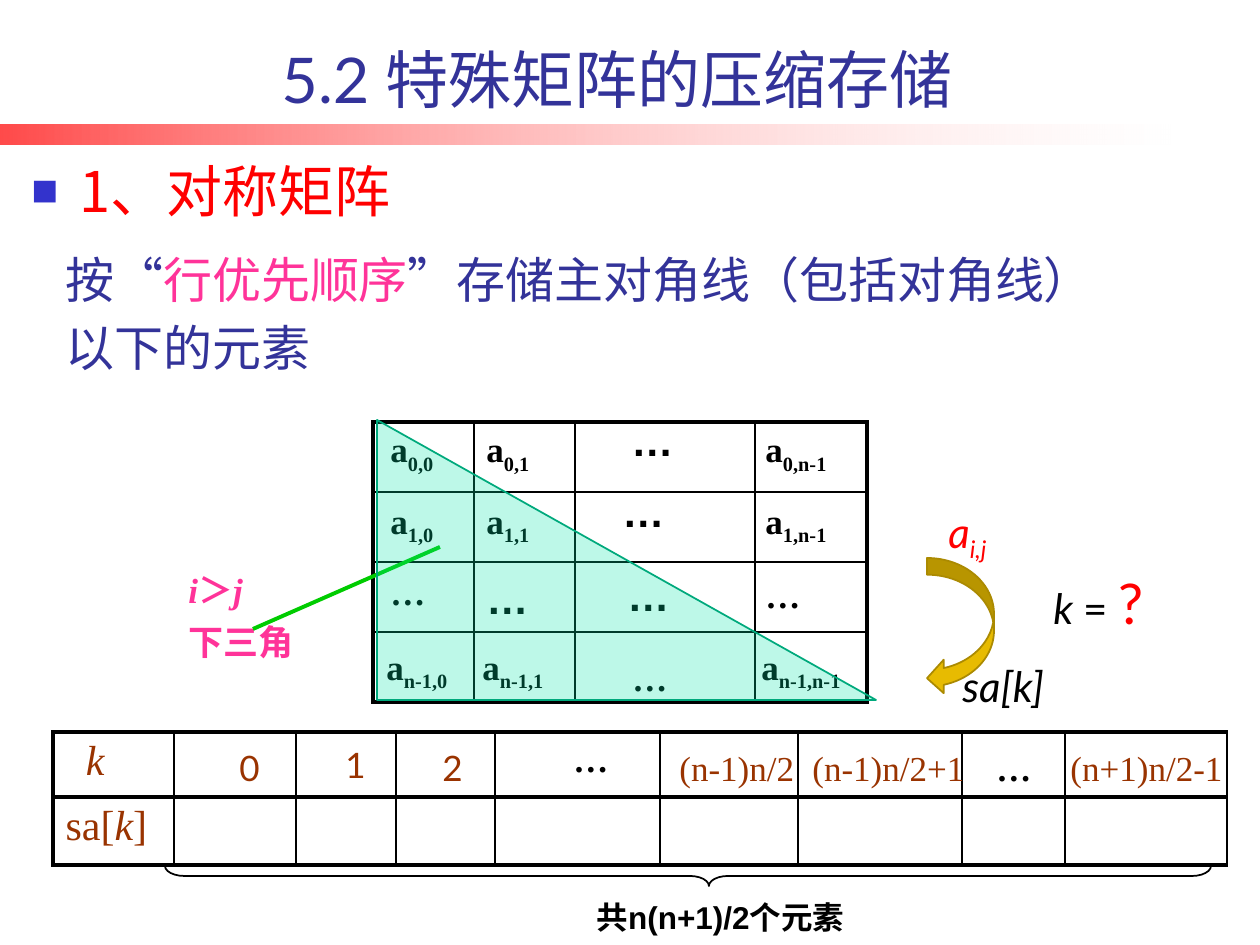
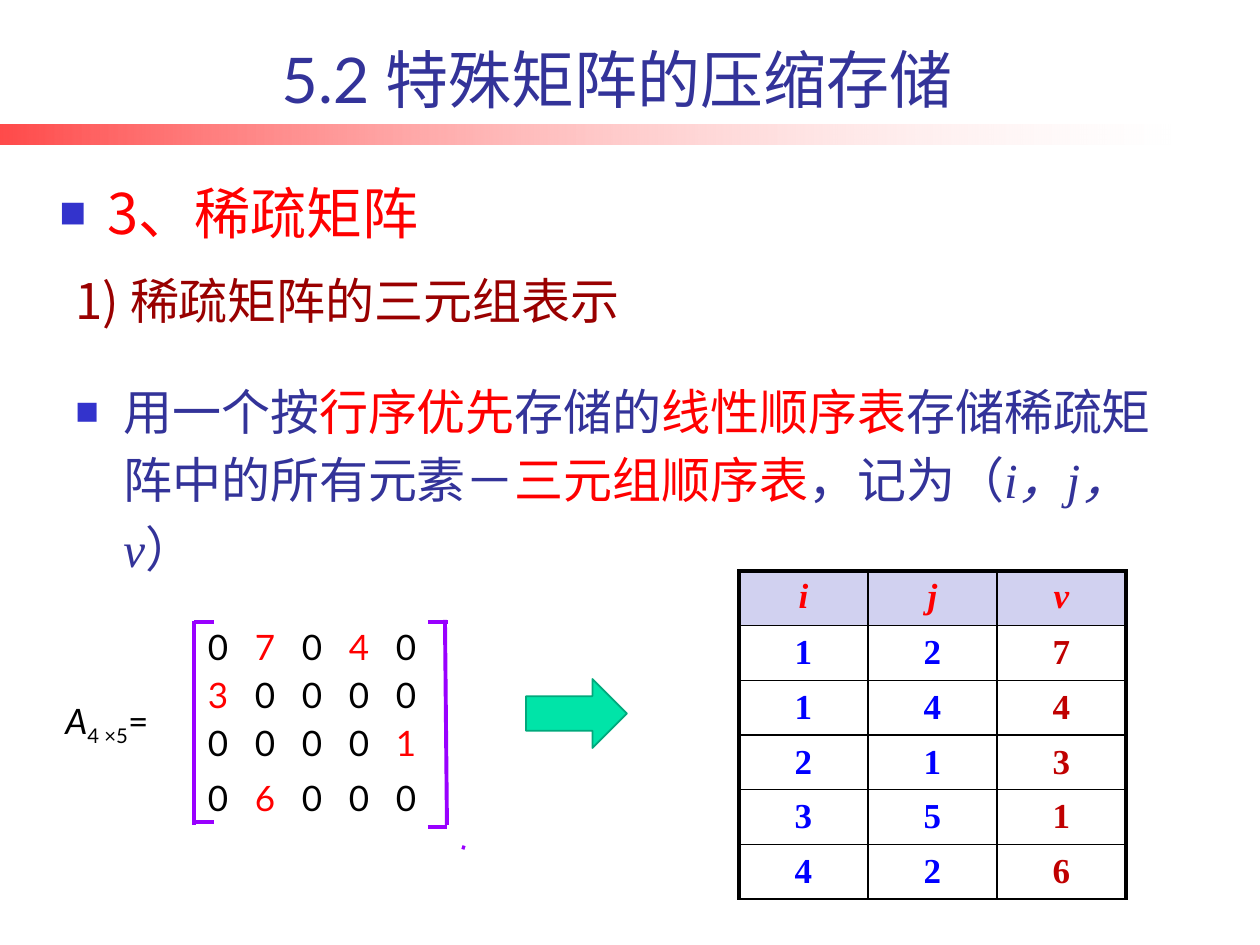
"""Build two slides on compressed storage of special matrices."""
from dataclasses import dataclass
from typing import NamedTuple, Optional

from lxml.etree import SubElement
from pptx import Presentation
from pptx.dml.color import RGBColor
from pptx.enum.shapes import MSO_CONNECTOR, MSO_SHAPE
from pptx.enum.text import MSO_ANCHOR, MSO_AUTO_SIZE, PP_ALIGN
from pptx.oxml.ns import qn
from pptx.util import Emu, Pt

COLORS = {
    "navy": "333399", "bullet": "3333CC", "red": "FF0000", "pink": "FF3399",
    "black": "000000", "white": "FFFFFF", "brown": "993300", "maroon": "990000",
    "green": "00CC00", "mint": "00E4A8", "teal": "00A97C", "gold": "E7BB01",
    "olive": "AB8A01", "purple": "9900FF", "blue": "0000FF", "crimson": "C00000",
    "lavender": "D1D1F0",
}
CJK, SERIF, SANS, LATO = "Noto Sans CJK SC", "Times New Roman", "Arial", "Lato"
PX = 914400 / 126
THIN, THICK = 1, 2.25


class Box(NamedTuple):
    left: int
    top: int
    width: int
    height: int


class Run(NamedTuple):
    text: str
    color: Optional[str] = None
    italic: Optional[bool] = None
    subscript: bool = False
    font: Optional[str] = None
    size: Optional[int] = None


@dataclass(frozen=True)
class Style:
    size: int
    color: str = "black"
    font: str = SERIF
    bold: bool = False
    italic: bool = False
    align: PP_ALIGN = PP_ALIGN.LEFT
    bullet: bool = False
    line_points: Optional[int] = None
    tab_step: int = 0


@dataclass(frozen=True)
class Frame:
    left: float = THICK
    top: float = THICK
    right: float = THICK
    bottom: float = THICK
    between_rows: float = THIN


class Label(NamedTuple):
    text: str
    left: int
    top: int
    style: Style


class Segment(NamedTuple):
    x1: int
    y1: int
    x2: int
    y2: int


TITLE = Style(36, "navy", LATO, align=PP_ALIGN.CENTER)
HEADING = Style(32, "red", CJK, bullet=True)
BODY = Style(28, "navy", CJK, line_points=39)
BODY_BULLET = Style(28, "navy", CJK, bullet=True, line_points=39)
ENTRY = Style(20, bold=True)
BIG_DOTS = Style(24, font=SANS, bold=True)
INDEX = Style(20, "brown", LATO)
FORMULA = Style(20, "brown")
VARIABLE = Style(24, font=LATO, italic=True)


def px(length: int) -> Emu:
    return Emu(round(length * PX))


def rgb(name: str) -> RGBColor:
    return RGBColor.from_string(COLORS[name])


def place(box: Box) -> list[Emu]:
    return [px(length) for length in box]


def add_bullet(paragraph) -> None:
    properties = paragraph._p.get_or_add_pPr()
    properties.set("marL", str(px(48)))
    properties.set("indent", str(-px(48)))
    color = SubElement(properties, qn("a:buClr"))
    SubElement(color, qn("a:srgbClr"), val=COLORS["bullet"])
    SubElement(properties, qn("a:buSzPct"), val="80000")
    SubElement(properties, qn("a:buFont"), typeface=SANS)
    SubElement(properties, qn("a:buChar"), char="■")


def write(paragraph, runs: list[Run], style: Style) -> None:
    if style.bullet:
        add_bullet(paragraph)
    if style.tab_step:
        tabs = SubElement(paragraph._p.get_or_add_pPr(), qn("a:tabLst"))
        for stop in range(1, len(runs)):
            SubElement(tabs, qn("a:tab"), pos=str(px(stop * style.tab_step)), algn="l")
    paragraph.alignment = style.align
    if style.line_points:
        paragraph.line_spacing = Pt(style.line_points)
    font = paragraph.font
    font.name, font.size = style.font, Pt(style.size)
    font.bold, font.italic = style.bold, style.italic
    font.color.rgb = rgb(style.color)
    SubElement(paragraph._p.pPr.find(qn("a:defRPr")), qn("a:ea"), typeface=CJK)
    for item in runs:
        run = paragraph.add_run()
        run.text = item.text
        if item.color:
            run.font.color.rgb = rgb(item.color)
        if item.italic is not None:
            run.font.italic = item.italic
        if item.font:
            run.font.name = item.font
        if item.size:
            run.font.size = Pt(item.size)
        if item.subscript:
            run._r.get_or_add_rPr().set("baseline", "-25000")


def add_text(slide, box: Box, runs: list[Run], style: Style, inset: bool = True):
    frame = slide.shapes.add_textbox(*place(box)).text_frame
    frame.word_wrap = True
    if not inset:
        frame.margin_left = frame.margin_top = frame.margin_right = frame.margin_bottom = 0
    write(frame.paragraphs[0], runs, style)
    return frame


def add_labels(slide, labels: list[Label], width: int) -> None:
    for label in labels:
        add_text(slide, Box(label.left, label.top, width, 55), [Run(label.text)], label.style)


def add_figure(slide, kind: MSO_SHAPE, box: Box, fill: Optional[str], line: Optional[str]):
    shape = slide.shapes.add_shape(kind, *place(box))
    shape.shadow.inherit = False
    if fill:
        shape.fill.solid()
        shape.fill.fore_color.rgb = rgb(fill)
    else:
        shape.fill.background()
    if line:
        shape.line.color.rgb = rgb(line)
        shape.line.width = Pt(THIN)
    else:
        shape.line.fill.background()
    return shape


def set_alpha(shape, *percents: int) -> None:
    for color, percent in zip(shape._element.spPr.iter(qn("a:srgbClr")), percents):
        SubElement(color, qn("a:alpha"), val=str(percent * 1000))


def add_line(slide, segment: Segment, color: str) -> None:
    connector = slide.shapes.add_connector(
        MSO_CONNECTOR.STRAIGHT, *[px(length) for length in segment])
    connector.line.color.rgb = rgb(color)
    connector.line.width = Pt(THICK)
    SubElement(connector._element.spPr, qn("a:effectLst"))


def set_borders(cell, widths: dict[str, float]) -> None:
    properties = cell._tc.get_or_add_tcPr()
    for position, (side, width) in enumerate(widths.items()):
        line = SubElement(properties, qn(f"a:ln{side}"), w=str(Pt(width)))
        fill = SubElement(line, qn("a:solidFill"))
        SubElement(fill, qn("a:srgbClr"), val=COLORS["black"])
        properties.insert(position, line)


def add_grid(slide, left: int, top: int, columns: list[int], rows: list[int], frame: Frame):
    box = Box(left, top, sum(columns), sum(rows))
    table = slide.shapes.add_table(len(rows), len(columns), *place(box)).table
    table.first_row = table.horz_banding = False
    for column, width in zip(table.columns, columns):
        column.width = px(width)
    last_row, last_column = len(rows) - 1, len(columns) - 1
    for r, height in enumerate(rows):
        table.rows[r].height = px(height)
        for c in range(len(columns)):
            cell = table.cell(r, c)
            cell.fill.background()
            set_borders(cell, {
                "L": frame.left if c == 0 else THIN,
                "R": frame.right if c == last_column else THIN,
                "T": frame.top if r == 0 else frame.between_rows,
                "B": frame.bottom if r == last_row else frame.between_rows,
            })
    return table


def add_slide(presentation):
    slide = presentation.slides.add_slide(presentation.slide_layouts[5])
    band = add_figure(slide, MSO_SHAPE.RECTANGLE, Box(0, 125, 1171, 20), None, None)
    band.fill.gradient()
    band.fill.gradient_angle = 0
    for stop, position, color in zip(band.fill.gradient_stops, (0, 1), ("red", "white")):
        stop.position = position
        stop.color.rgb = rgb(color)
    set_alpha(band, 71, 18)
    title = slide.shapes.title
    title.left, title.top, title.width, title.height = place(Box(80, 32, 1074, 90))
    frame = title.text_frame
    frame.auto_size = MSO_AUTO_SIZE.NONE
    frame.vertical_anchor = MSO_ANCHOR.BOTTOM
    write(frame.paragraphs[0], [Run("5.2 特殊矩阵的压缩存储")], TITLE)
    return slide


def build_symmetric(presentation) -> None:
    slide = add_slide(presentation)
    add_text(slide, Box(19, 150, 1074, 90), [Run("1、对称矩阵")], HEADING)
    add_text(slide, Box(53, 234, 1066, 150), [
        Run("按“"), Run("行优先顺序", "pink"), Run("”存储主对角线（包括对角线）以下的元素")], BODY)

    add_grid(slide, 373, 422, [101, 101, 180, 112], [70] * 4, Frame())
    for row, top, shift in (("0", 421, 0), ("1", 493, 0), ("n-1", 639, -4)):
        for column, left in (("0", 378), ("1", 474), ("n-1", 753)):
            add_text(slide, Box(left + shift, top, 130, 55),
                     [Run("a"), Run(f"{row},{column}", subscript=True)], ENTRY)
    add_labels(slide, [
        Label("…", 619, 408, BIG_DOTS), Label("…", 610, 479, BIG_DOTS),
        Label("…", 474, 566, BIG_DOTS), Label("…", 615, 563, BIG_DOTS),
        Label("…", 378, 564, ENTRY), Label("…", 753, 567, ENTRY), Label("…", 620, 650, ENTRY),
    ], 65)

    storage = add_grid(slide, 53, 732, [121, 122, 100, 99, 165, 138, 164, 103, 162],
                       [65, 68], Frame(right=THIN, between_rows=THICK))
    storage_style = Style(24, "brown")
    storage.cell(0, 0).margin_left = px(33)
    write(storage.cell(0, 0).text_frame.paragraphs[0], [Run("k", italic=True)], storage_style)
    write(storage.cell(1, 0).text_frame.paragraphs[0],
          [Run("sa["), Run("k", italic=True), Run("]")], storage_style)
    add_labels(slide, [
        Label("0", 227, 740, INDEX), Label("1", 333, 737, INDEX), Label("2", 430, 740, INDEX),
        Label("…", 561, 731, ENTRY), Label("(n-1)n/2", 667, 740, FORMULA),
        Label("(n-1)n/2+1", 800, 740, FORMULA), Label("…", 984, 740, ENTRY),
        Label("(n+1)n/2-1", 1058, 740, FORMULA),
    ], 190)
    brace = add_figure(slide, MSO_SHAPE.RIGHT_BRACE, Box(678, 353, 20, 1046), None, "black")
    brace.rotation = 90
    brace.adjustments[0], brace.adjustments[1] = 0.96, 0.48
    add_text(slide, Box(357, 892, 727, 50), [Run("共n(n+1)/2个元素")],
             Style(18, font=SANS, bold=True, align=PP_ALIGN.CENTER))

    triangle_style = Style(20, "pink", bold=True)
    condition = add_text(slide, Box(176, 562, 156, 118), [
        Run("i", italic=True), Run("＞"), Run("j", italic=True)], triangle_style)
    caption = condition.add_paragraph()
    caption.space_before = Pt(6)
    write(caption, [Run("下三角")], triangle_style)
    add_line(slide, Segment(253, 629, 440, 547), "green")
    triangle = add_figure(
        slide, MSO_SHAPE.RIGHT_TRIANGLE, Box(377, 420, 499, 280), "mint", "teal")
    set_alpha(triangle, 26)

    add_figure(slide, MSO_SHAPE.CURVED_LEFT_ARROW, Box(927, 558, 67, 137), "gold", "olive")
    add_text(slide, Box(936, 500, 132, 63), [
        Run("a", "red"), Run("i,j", "red", subscript=True)], VARIABLE)
    add_text(slide, Box(950, 654, 132, 63), [Run("sa[k]")], VARIABLE)
    add_text(slide, Box(1041, 562, 137, 81), [
        Run("k "), Run("= ", italic=False), Run("?", "red", False, size=32)], VARIABLE)


def build_sparse(presentation) -> None:
    slide = add_slide(presentation)
    add_text(slide, Box(47, 172, 454, 90), [Run("3、稀疏矩阵")], HEADING)
    add_text(slide, Box(63, 264, 789, 88), [Run("1) 稀疏矩阵的三元组表示")],
             Style(28, "maroon", CJK))
    add_text(slide, Box(63, 366, 1126, 209), [
        Run("用一个按"), Run("行序优先", "red"), Run("存储的"), Run("线性顺序表", "red"),
        Run("存储稀疏矩阵中的所有元素－"), Run("三元组顺序表", "red"), Run("，记为（"),
        Run("i，j，v", italic=True, font=SERIF), Run("）")], BODY_BULLET)

    triples = ["ijv", "127", "144", "213", "351", "426"]
    table = add_grid(slide, 739, 571, [129] * 3, [51] * 6, Frame(bottom=THIN))
    for r, triple in enumerate(triples):
        for c, value in enumerate(triple):
            cell = table.cell(r, c)
            header = r == 0
            if header:
                cell.fill.solid()
                cell.fill.fore_color.rgb = rgb("lavender")
            else:
                cell.vertical_anchor = MSO_ANCHOR.MIDDLE
            color = "red" if header else "crimson" if c == 2 else "blue"
            write(cell.text_frame.paragraphs[0], [Run(value)],
                  Style(20, color, bold=True, italic=header, align=PP_ALIGN.CENTER))

    add_text(slide, Box(53, 693, 129, 55), [
        Run("A", italic=True), Run("4 ×5", subscript=True), Run("=")], Style(20, font=LATO))
    for top, digits in ((625, "07040"), (673, "30000"), (721, "00001"), (776, "06000")):
        runs = [Run("\t" * (c > 0) + digit, "black" if digit == "0" else "red")
                for c, digit in enumerate(digits)]
        add_text(slide, Box(208, top, 280, 43), runs,
                 Style(20, font=LATO, tab_step=47), inset=False)
    for segment in (
        Segment(194, 621, 194, 825), Segment(194, 622, 214, 622), Segment(194, 822, 214, 822),
        Segment(445, 620, 447, 825), Segment(428, 622, 448, 622), Segment(428, 827, 447, 827),
        Segment(465, 848, 462, 847),
    ):
        add_line(slide, segment, "purple")
    add_figure(slide, MSO_SHAPE.RIGHT_ARROW, Box(526, 679, 101, 69), "mint", "teal")


def main() -> None:
    presentation = Presentation()
    presentation.slide_width, presentation.slide_height = px(1260), px(945)
    build_symmetric(presentation)
    build_sparse(presentation)
    presentation.save("out.pptx")


if __name__ == "__main__":
    main()
